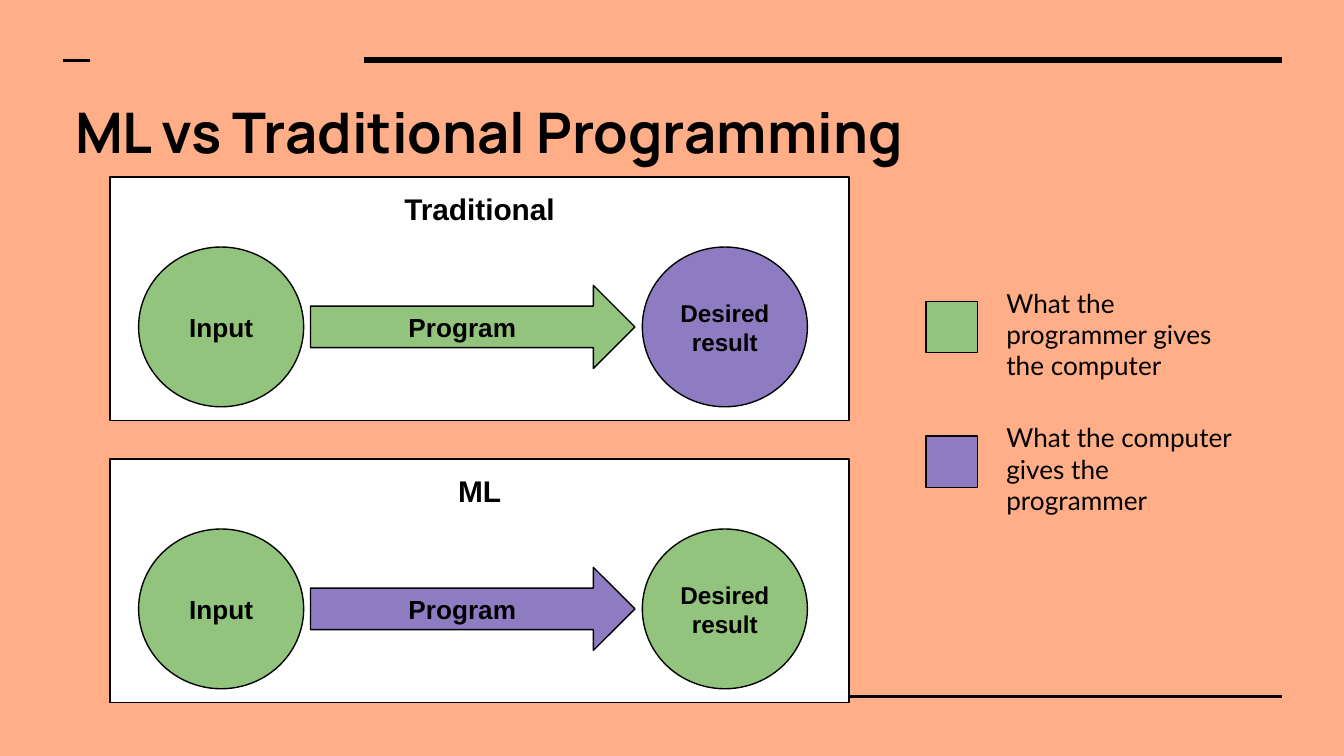
from dataclasses import dataclass

from lxml.etree import SubElement
from pptx import Presentation
from pptx.dml.color import RGBColor
from pptx.enum.shapes import MSO_CONNECTOR, MSO_SHAPE
from pptx.enum.text import MSO_ANCHOR, MSO_AUTO_SIZE, PP_ALIGN
from pptx.oxml.ns import qn
from pptx.util import Cm, Pt


@dataclass(frozen=True)
class Theme:
    back: str = "FFAE88"
    ink: str = "000000"
    paper: str = "FFFFFF"
    green: str = "93C47D"
    purple: str = "8E7CC3"
    title: float = 30
    head: float = 16
    label: float = 14
    small: float = 13
    edge: float = 0.75


@dataclass(frozen=True)
class Box:
    left: float
    top: float
    width: float
    height: float

    def place(self) -> tuple:
        return Cm(self.left), Cm(self.top), Cm(self.width), Cm(self.height)


@dataclass(frozen=True)
class Rule:
    start: float
    end: float
    top: float
    weight: float


@dataclass(frozen=True)
class Panel:
    name: str
    program: str
    result: str


@dataclass(frozen=True)
class Key:
    text: str
    fill: str


THEME = Theme()
RULES = (Rule(6.88, 24.23, 1.14, 3), Rule(6.88, 24.23, 13.16, 1.5),
         Rule(1.19, 1.7, 1.14, 1.5))
PANELS = (Panel("Traditional", THEME.green, THEME.purple),
          Panel("ML", THEME.purple, THEME.green))
KEYS = (Key("What the programmer gives the computer", THEME.green),
        Key("What the computer gives the programmer", THEME.purple))


def write(shape, text: str, size: float, font: str = "Arial", bold: bool = True,
          align=PP_ALIGN.CENTER, anchor=MSO_ANCHOR.MIDDLE) -> None:
    """Put one styled line of text in a shape."""
    frame = shape.text_frame
    frame.text = text
    frame.word_wrap = True
    frame.auto_size = MSO_AUTO_SIZE.NONE
    frame.vertical_anchor = anchor
    frame.margin_left = frame.margin_right = Cm(0.25)
    frame.margin_top = frame.margin_bottom = Cm(0.25)
    line = frame.paragraphs[0]
    line.alignment = align
    style = line.runs[0].font
    style.name, style.size, style.bold = font, Pt(size), bold
    style.color.rgb = RGBColor.from_string(THEME.ink)


def draw_shape(slide, kind, box: Box, fill: str):
    """Add a filled shape with a thin edge."""
    shape = slide.shapes.add_shape(kind, *box.place())
    shape.shadow.inherit = False
    shape.fill.solid()
    shape.fill.fore_color.rgb = RGBColor.from_string(fill)
    shape.line.color.rgb = RGBColor.from_string(THEME.ink)
    shape.line.width = Pt(THEME.edge)
    return shape


def draw_rule(slide, rule: Rule) -> None:
    """Add a level line without shadow."""
    line = slide.shapes.add_connector(MSO_CONNECTOR.STRAIGHT, Cm(rule.start),
                                      Cm(rule.top), Cm(rule.end), Cm(rule.top))
    line.line.color.rgb = RGBColor.from_string(THEME.ink)
    line.line.width = Pt(rule.weight)
    SubElement(line._element.spPr, qn("a:effectLst"))


def draw_panel(slide, panel: Panel, top: float) -> None:
    """Add a panel that leads from input to result."""
    card = draw_shape(slide, MSO_SHAPE.RECTANGLE, Box(2.08, top, 13.97, 4.6), THEME.paper)
    write(card, panel.name, THEME.head, anchor=MSO_ANCHOR.TOP)
    mid = top + 2.83
    wide, high, shaft = 3.12, 3.02, 1.57
    parts = (
        (MSO_SHAPE.OVAL, 2.62, wide, high, THEME.green, "Input", THEME.label),
        (MSO_SHAPE.OVAL, 12.14, wide, high, panel.result, "Desired result", THEME.small),
        (MSO_SHAPE.RIGHT_ARROW, 5.87, 6.13, shaft, panel.program, "Program", THEME.label),
    )
    for kind, left, width, height, fill, text, size in parts:
        box = Box(left, mid - height / 2, width, height)
        write(draw_shape(slide, kind, box, fill), text, size)


def draw_key(slide, key: Key, mid: float) -> None:
    """Add a colour swatch and its meaning."""
    side, height = 0.97, 2.01
    draw_shape(slide, MSO_SHAPE.RECTANGLE, Box(17.5, mid - side / 2, side, side), key.fill)
    note = slide.shapes.add_textbox(*Box(18.77, mid - height / 2, 4.85, height).place())
    write(note, key.text, THEME.label, "Lato", False, PP_ALIGN.LEFT, MSO_ANCHOR.TOP)


def main() -> None:
    """Build and save the slide."""
    deck = Presentation()
    deck.slide_width, deck.slide_height = Cm(25.4), Cm(14.29)
    slide = deck.slides.add_slide(deck.slide_layouts[5])
    slide.background.fill.solid()
    slide.background.fill.fore_color.rgb = RGBColor.from_string(THEME.back)
    for rule in RULES:
        draw_rule(slide, rule)
    title = slide.shapes.title
    title.left, title.top, title.width, title.height = Box(1.17, 1.6, 23.09, 1.75).place()
    write(title, "ML vs Traditional Programming", THEME.title, "Manrope",
          align=PP_ALIGN.LEFT, anchor=MSO_ANCHOR.TOP)
    for row, panel in enumerate(PANELS):
        draw_panel(slide, panel, 3.35 + row * 5.33)
    for row, key in enumerate(KEYS):
        draw_key(slide, key, 6.18 + row * 2.55)
    deck.save("out.pptx")


if __name__ == "__main__":
    main()
